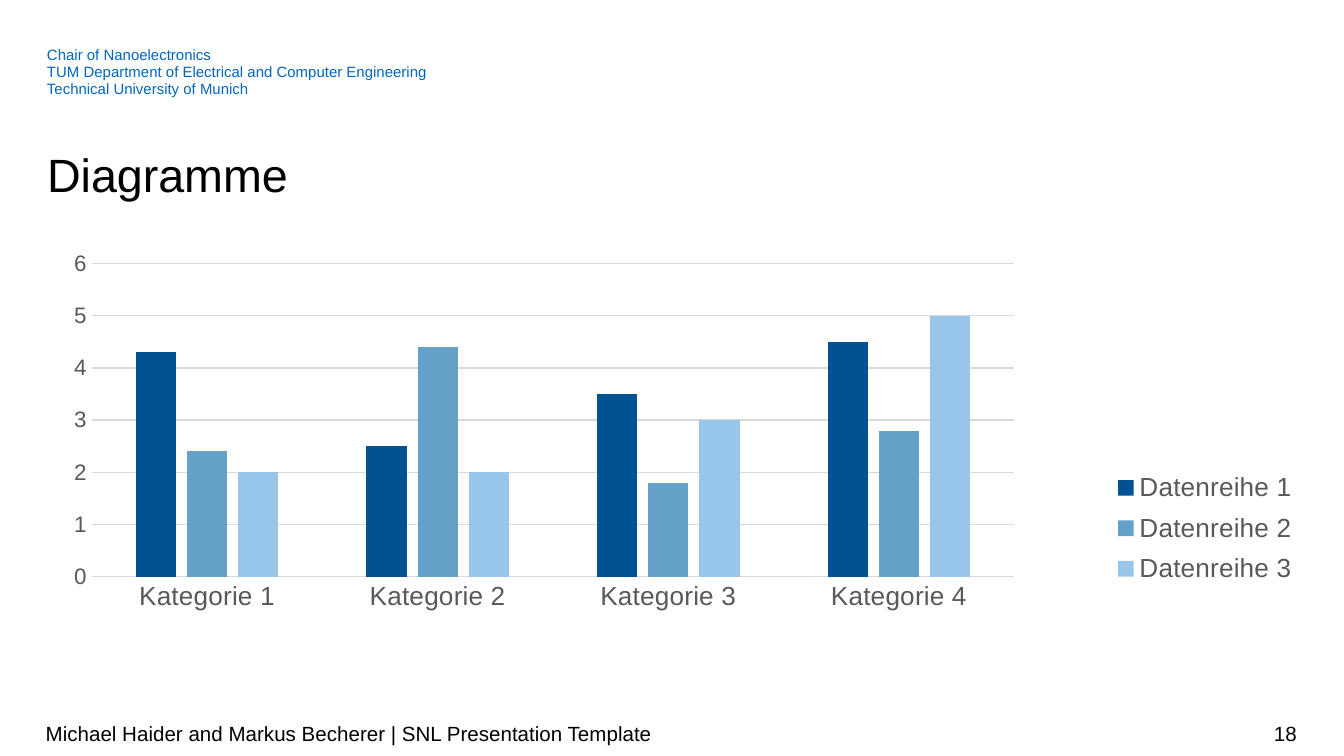
from lxml.etree import SubElement
from pptx import Presentation
from pptx.chart.data import CategoryChartData
from pptx.dml.color import RGBColor
from pptx.enum.chart import XL_CHART_TYPE as ChartType
from pptx.enum.chart import XL_LEGEND_POSITION as LegendPosition
from pptx.enum.chart import XL_TICK_MARK as TickMark
from pptx.enum.text import MSO_ANCHOR as Anchor
from pptx.enum.text import MSO_AUTO_SIZE as AutoSize
from pptx.enum.text import PP_ALIGN as Align
from pptx.oxml.ns import qn
from pptx.util import Inches, Pt

WIDTH = 10
HEIGHT = WIDTH * 9 / 16
MARGIN = 0.035 * WIDTH
FOOTER_TOP = 5.31
FONT = "Arial"
BLACK, BLUE, GREY, LIGHT_GREY = "000000", "0065BD", "595959", "D9D9D9"

HEADER = [
    "Chair of Nanoelectronics",
    "TUM Department of Electrical and Computer Engineering",
    "Technical University of Munich",
]
CATEGORIES = [f"Kategorie {number}" for number in range(1, 5)]
SERIES = [
    ("Datenreihe 1", (4.3, 2.5, 3.5, 4.5), "005293"),
    ("Datenreihe 2", (2.4, 4.4, 1.8, 2.8), "64A0C8"),
    ("Datenreihe 3", (2, 2, 3, 5), "98C6EA"),
]


def color(value):
    return RGBColor.from_string(value)


def format_font(font, size, value):
    font.name = FONT
    font.size = Pt(size)
    font.color.rgb = color(value)


def format_line(line, value):
    line.width = Pt(0.75)
    line.color.rgb = color(value)


def fill_text(shape, lines, size, value, align=Align.LEFT, spacing=None,
              anchor=Anchor.TOP, padding=0, auto_size=AutoSize.NONE):
    frame = shape.text_frame
    frame.word_wrap = True
    frame.auto_size = auto_size
    frame.vertical_anchor = anchor
    frame.margin_left = frame.margin_right = 0
    frame.margin_top = frame.margin_bottom = Inches(padding)
    for index, line in enumerate(lines):
        paragraph = frame.add_paragraph() if index else frame.paragraphs[0]
        paragraph.alignment = align
        paragraph.space_before = Pt(0)
        if spacing:
            paragraph.line_spacing = Pt(spacing)
        run = paragraph.add_run()
        run.text = line
        format_font(run.font, size, value)


def add_text(slide, left, top, width, height, lines, size, value, **options):
    box = slide.shapes.add_textbox(*map(Inches, (left, top, width, height)))
    fill_text(box, lines, size, value, **options)


def set_title(slide, text):
    title = slide.shapes.title
    title.left, title.top = Inches(MARGIN), Inches(1.06)
    title.width, title.height = Inches(9.31), Inches(0.45)
    fill_text(title, [text], 25, BLACK, spacing=32, auto_size=AutoSize.SHAPE_TO_FIT_TEXT)


def set_layout(parent, position, shares, inner=False):
    for old in parent.findall(qn("c:layout")):
        parent.remove(old)
    layout = SubElement(parent, qn("c:layout"))
    parent.insert(position, layout)
    manual = SubElement(layout, qn("c:manualLayout"))
    settings = [("layoutTarget", "inner")] if inner else []
    settings += [("xMode", "edge"), ("yMode", "edge")]
    settings += zip("xywh", shares)
    for name, value in settings:
        SubElement(manual, qn(f"c:{name}")).set("val", str(value))


def format_axis(axis, size):
    axis.major_tick_mark = axis.minor_tick_mark = TickMark.NONE
    format_font(axis.tick_labels.font, size, GREY)


def add_column_chart(slide, left, top, width, height):
    data = CategoryChartData()
    data.categories = CATEGORIES
    for name, values, _ in SERIES:
        data.add_series(name, values)
    frame = slide.shapes.add_chart(
        ChartType.COLUMN_CLUSTERED, *map(Inches, (left, top, width, height)), data)
    chart = frame.chart
    chart.has_title = False
    format_font(chart.font, 10, BLACK)

    plot = chart.plots[0]
    plot.gap_width, plot.overlap = 219, -27
    plot.vary_by_categories = False
    for series, (_, _, value) in zip(plot.series, SERIES):
        series.format.fill.solid()
        series.format.fill.fore_color.rgb = color(value)

    format_axis(chart.category_axis, 14)
    format_line(chart.category_axis.format.line, LIGHT_GREY)
    value_axis = chart.value_axis
    format_axis(value_axis, 12)
    value_axis.minimum_scale, value_axis.maximum_scale = 0, 6
    value_axis.major_unit = 1
    value_axis.format.line.fill.background()
    format_line(value_axis.major_gridlines.format.line, LIGHT_GREY)

    chart.has_legend = True
    chart.legend.position = LegendPosition.BOTTOM
    chart.legend.include_in_layout = False
    format_font(chart.legend.font, 14, GREY)
    area = chart.element.find(qn("c:chart"))
    set_layout(area.find(qn("c:plotArea")), 0, (0.035, 0.049, 0.721, 0.711), inner=True)
    set_layout(area.find(qn("c:legend")), 1, (0.82, 0.5, 0.17, 0.3))


def main():
    presentation = Presentation()
    presentation.slide_width = Inches(WIDTH)
    presentation.slide_height = Inches(HEIGHT)
    slide = presentation.slides.add_slide(presentation.slide_layouts[5])

    add_text(slide, MARGIN, 0.35, 7.83, 0.38, HEADER, 8, BLUE,
             spacing=9, auto_size=AutoSize.SHAPE_TO_FIT_TEXT)
    add_column_chart(slide, MARGIN, 0.32 * HEIGHT, 9.52, 3.28)
    set_title(slide, "Diagramme")
    footer = {"anchor": Anchor.MIDDLE, "padding": 0.05}
    add_text(slide, 7.41, FOOTER_TOP, 2.24, 0.3, ["18"], 11, BLACK,
             align=Align.RIGHT, **footer)
    add_text(slide, 0.34, FOOTER_TOP, 7.07, 0.3,
             ["Michael Haider and Markus Becherer | SNL Presentation Template"],
             11, BLACK, **footer)
    presentation.save("out.pptx")


if __name__ == "__main__":
    main()
